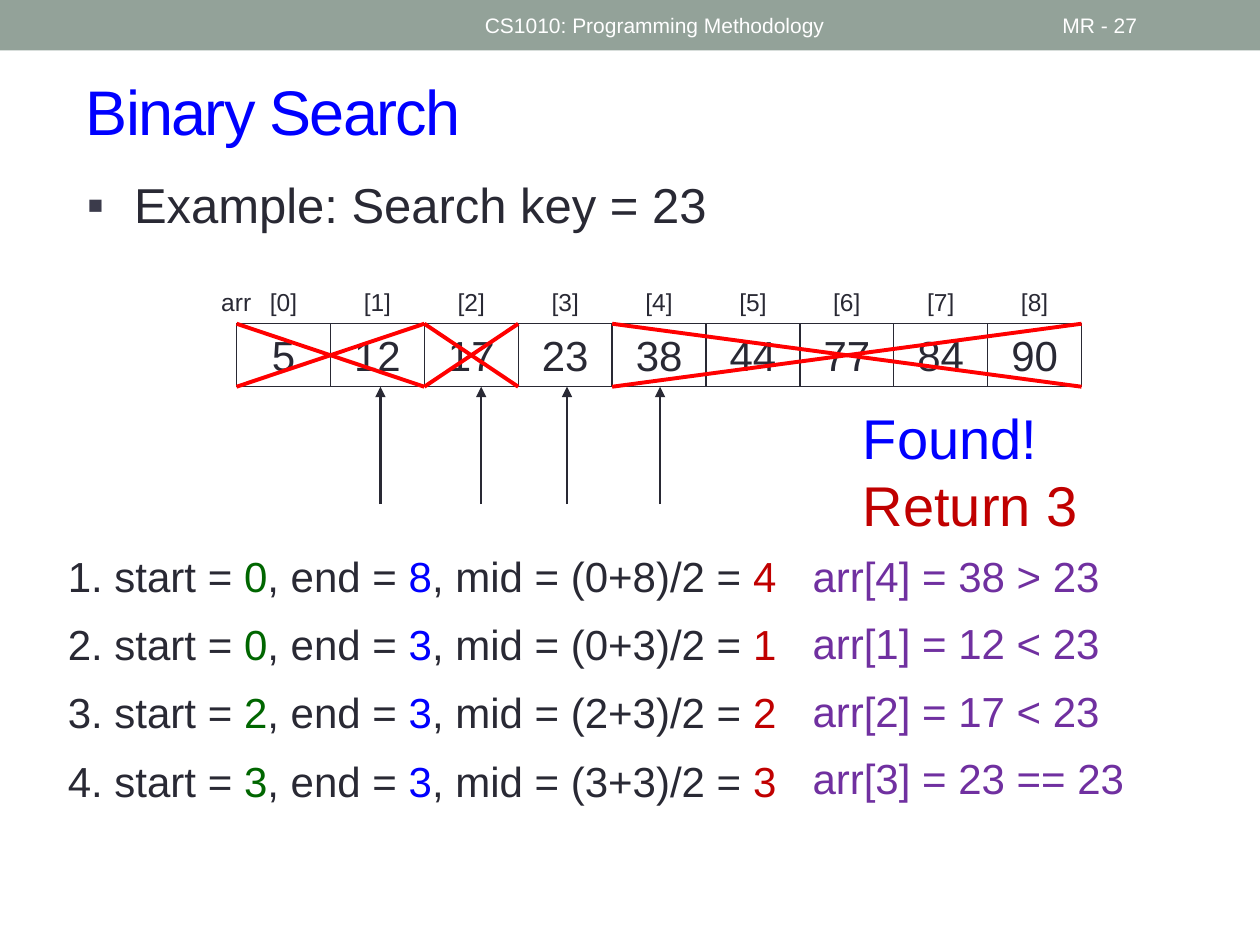
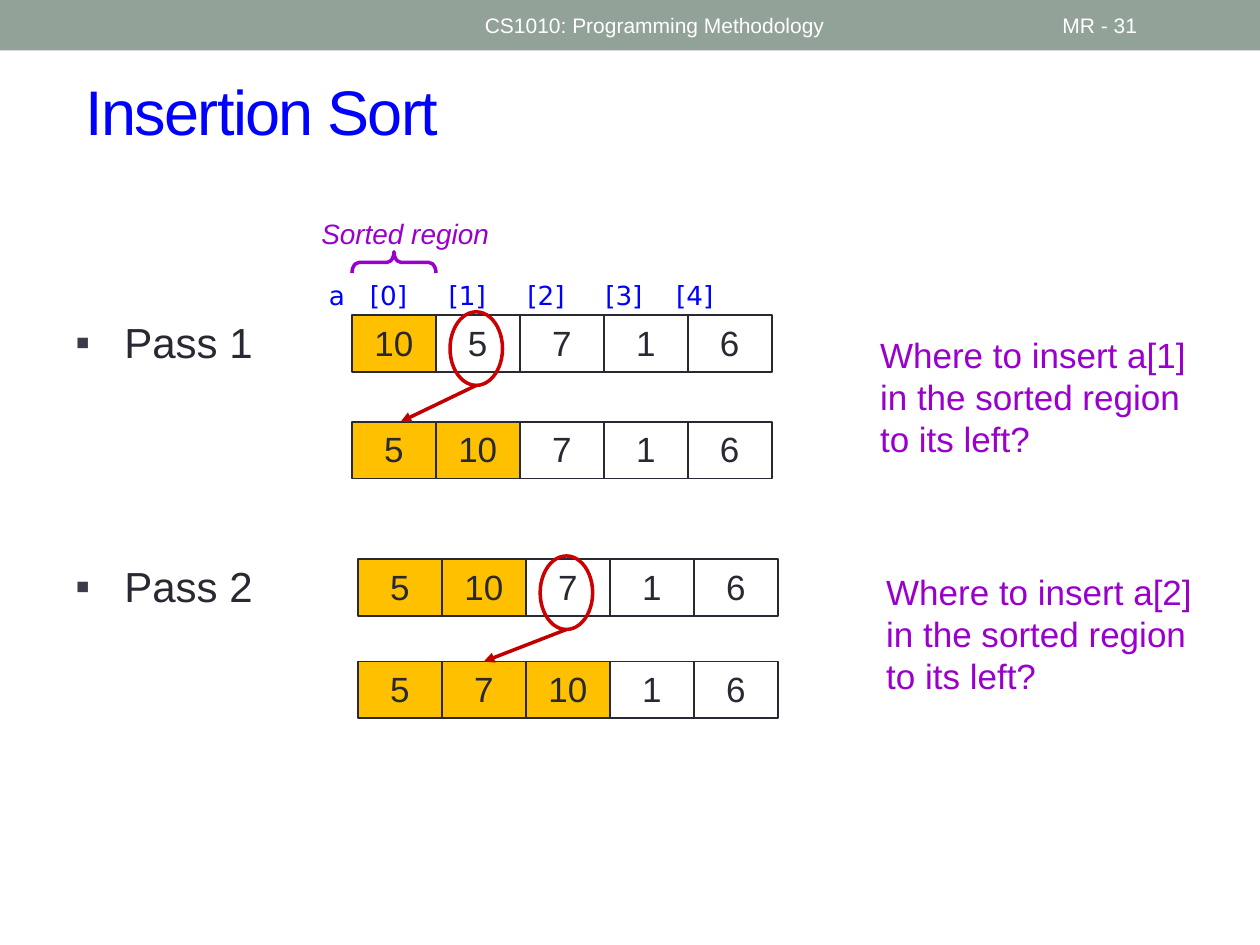
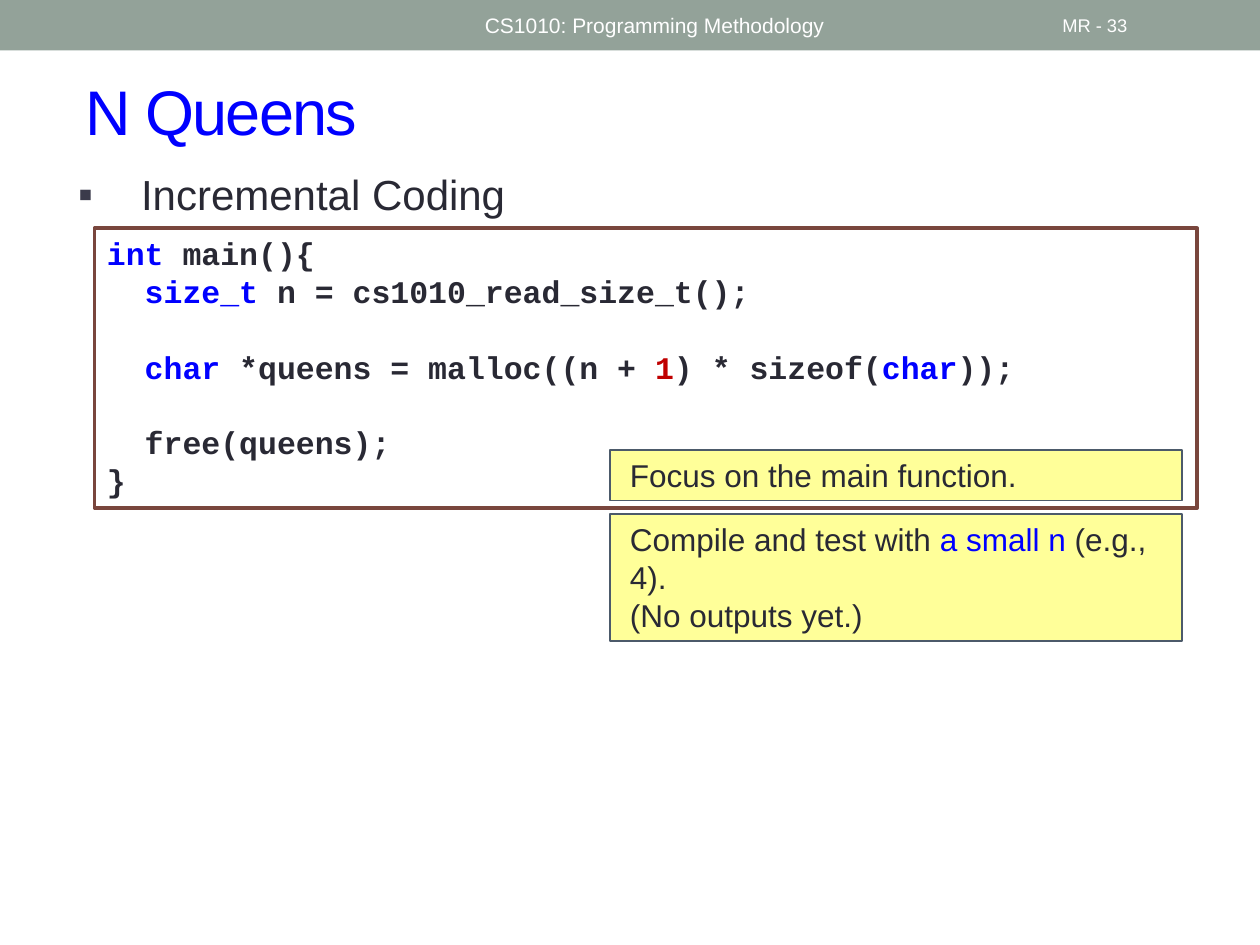
from pptx import Presentation
from pptx.dml.color import RGBColor
from pptx.enum.shapes import MSO_CONNECTOR, MSO_SHAPE
from pptx.enum.text import MSO_ANCHOR, PP_ALIGN
from pptx.oxml.ns import qn
from pptx.oxml.xmlchemy import OxmlElement
from pptx.util import Pt

INK, WHITE, BAND, BULLET = "292934", "FFFFFF", "93A299", "3B3B4B"
BLUE, GREEN, DARK_RED, VIOLET = "0000FF", "006600", "C00000", "7030A0"
CROSS_RED, RING_RED, PURPLE = "FF0000", "CC0000", "9900CC"
GOLD, NOTE_FILL, NOTE_LINE, CODE_LINE = "FFC000", "FFFF99", "4C5A6A", "79463D"


def rgb(color):
    return RGBColor.from_string(color)


# Shared helpers
def add_xml(parent, tag, **attributes):
    element = OxmlElement(tag)
    for name, value in attributes.items():
        element.set(name, value)
    parent.append(element)
    return element


def write(shape, lines, size, color=INK, font="Arial", align=PP_ALIGN.LEFT,
          anchor=MSO_ANCHOR.TOP, bold=False, italic=False):
    """Each line is a string or a list of (text, color) pieces."""
    frame = shape.text_frame
    frame.word_wrap = True
    frame.vertical_anchor = anchor
    for index, line in enumerate(lines):
        paragraph = frame.add_paragraph() if index else frame.paragraphs[0]
        paragraph.alignment = align
        pieces = [(line, color)] if isinstance(line, str) else line
        for text, piece_color in pieces:
            run = paragraph.add_run()
            run.text = text
            run.font.name = font
            run.font.size = Pt(size)
            run.font.bold = bold
            run.font.italic = italic
            run.font.color.rgb = rgb(piece_color)


def add_text(slide, box, lines, size, color=INK, **style):
    shape = slide.shapes.add_textbox(*map(Pt, box))
    write(shape, lines, size, color, **style)
    return shape


def add_box(slide, box, fill=None, line=None, width=1, kind=MSO_SHAPE.RECTANGLE):
    shape = slide.shapes.add_shape(kind, *map(Pt, box))
    shape.shadow.inherit = False
    if fill:
        shape.fill.solid()
        shape.fill.fore_color.rgb = rgb(fill)
    else:
        shape.fill.background()
    if line:
        shape.line.color.rgb = rgb(line)
        shape.line.width = Pt(width)
    else:
        shape.line.fill.background()
    return shape


def add_line(slide, start, end, color, width, arrow=False):
    connector = slide.shapes.add_connector(
        MSO_CONNECTOR.STRAIGHT, *map(Pt, (*start, *end)))
    connector.line.color.rgb = rgb(color)
    connector.line.width = Pt(width)
    properties = connector.element.spPr
    if arrow:
        add_xml(properties.find(qn("a:ln")), "a:tailEnd", type="triangle")
    add_xml(properties, "a:effectLst")


def add_bullet(slide, box, text, size, indent, spacing=None):
    shape = add_text(slide, box, [text], size)
    paragraph = shape.text_frame.paragraphs[0]
    if spacing:
        paragraph.line_spacing = spacing
    properties = paragraph._p.get_or_add_pPr()
    properties.set("marL", str(Pt(indent)))
    properties.set("indent", str(-Pt(indent)))
    add_xml(add_xml(properties, "a:buClr"), "a:srgbClr", val=BULLET)
    add_xml(properties, "a:buFont", typeface="Arial")
    add_xml(properties, "a:buChar", char="▪")


def add_cells(slide, left, top, width, height, values, size, line_width, filled=0):
    for index, value in enumerate(values):
        cell = add_box(slide, (left + index * width, top, width, height),
                       GOLD if index < filled else None, INK, line_width)
        write(cell, [str(value)], size, align=PP_ALIGN.CENTER)


def add_base_slide(presentation, title, number, number_size=12):
    slide = presentation.slides.add_slide(presentation.slide_layouts[6])
    # Header band
    add_box(slide, (0, 0, 720, 28.8), BAND)
    add_text(slide, (270, 1.5, 324, 26), ["CS1010: Programming Methodology"], 12,
             WHITE, anchor=MSO_ANCHOR.MIDDLE)
    add_text(slide, (600, 1.5, 84, 26), [f"MR - {number}"], number_size,
             WHITE, anchor=MSO_ANCHOR.MIDDLE)
    # Title
    heading = add_text(slide, (42, 30, 660, 66), [title], 36, BLUE,
                       anchor=MSO_ANCHOR.MIDDLE)
    run = heading.text_frame.paragraphs[0].runs[0]
    run.font._element.set("spc", "-100")
    return slide


# Binary search
def add_search_array(slide, left, top):
    cell_width, cell_height = 53.65, 36
    values = [5, 12, 17, 23, 38, 44, 77, 84, 90]
    add_cells(slide, left, top, cell_width, cell_height, values, 24, 0.75)

    # Index labels
    add_text(slide, (left - 27.2, top - 24.4, 54, 24.2), ["arr"], 14,
             align=PP_ALIGN.CENTER)
    for index in range(len(values)):
        add_text(slide, (left + index * cell_width, top - 24.4, cell_width, 24.2),
                 [f"[{index}]"], 14, align=PP_ALIGN.CENTER)

    # Discarded ranges
    bottom = top + cell_height
    for first, stop in ((4, 9), (0, 2), (2, 3)):
        start, end = left + first * cell_width, left + stop * cell_width
        add_line(slide, (start, top), (end, bottom), CROSS_RED, 2.25)
        add_line(slide, (start, bottom), (end, top), CROSS_RED, 2.25)

    # Arrows to each middle element
    for offset in (242, 82.2, 139.8, 188.8):
        add_line(slide, (left + offset, bottom + 67), (left + offset, bottom),
                 INK, 1.25, arrow=True)


def add_search_steps(slide, left, top):
    steps = [(0, 8, 4, "38 > 23"), (0, 3, 1, "12 < 23"),
             (2, 3, 2, "17 < 23"), (3, 3, 3, "23 == 23")]
    for index, (start, end, middle, comparison) in enumerate(steps):
        pieces = [(f"{index + 1}. start = ", INK), (str(start), GREEN),
                  (", end = ", INK), (str(end), BLUE),
                  (f", mid = ({start}+{end})/2 = ", INK), (str(middle), DARK_RED)]
        add_text(slide, (left, top + index * 39, 452, 36), [pieces], 24)
        add_text(slide, (left + 425.5, top + index * 38.5, 201, 36),
                 [f"arr[{middle}] = {comparison}"], 24, VIOLET)


def build_binary_search(presentation):
    slide = add_base_slide(presentation, "Binary Search", 27)
    add_bullet(slide, (42.5, 100, 624, 42.5), "Example: Search key = 23", 28, 27, 0.9)
    add_search_array(slide, 135.2, 185)
    add_search_steps(slide, 31.7, 311)
    add_text(slide, (486, 226.8, 157, 85),
             [[("Found!", BLUE)], [("Return 3", DARK_RED)]], 32)


# Insertion sort
def add_sorted_region(slide, left, top):
    add_text(slide, (left - 29.5, top - 59.8, 120, 26.6), ["Sorted region"], 16,
             PURPLE, align=PP_ALIGN.CENTER, italic=True)
    brace = add_box(slide, (left + 18, top - 54, 12.2, 48), None, PURPLE, 2,
                    MSO_SHAPE.LEFT_BRACE)
    brace.rotation = 90
    brace.adjustments[0] = 0.33
    # Index labels on tab stops
    labels = add_text(slide, (left - 20.2, top - 23.8, 264, 25.2),
                      ["a\t[0]\t[1]\t[2]\t[3]\t[4]"], 15, BLUE, font="DejaVu Sans")
    properties = labels.text_frame.paragraphs[0]._p.get_or_add_pPr()
    tabs = add_xml(properties, "a:tabLst")
    for position in (23.5, 68.5, 113.5, 158, 198.5):
        add_xml(tabs, "a:tab", pos=str(Pt(position)), algn="l")


def add_pass(slide, left, top, number, before, after, row_step, arrow_x,
             question_top):
    cell_width, cell_height = 48, 32.4
    add_bullet(slide, (36, top - 2.6, 150, 36), f"Pass {number}", 24, 28)
    add_cells(slide, left, top, cell_width, cell_height, before, 20, 1, number)
    add_cells(slide, left, top + row_step, cell_width, cell_height, after, 20, 1,
              number + 1)
    # Element to insert and its new place
    ring_left, ring_top = left + number * cell_width + 8.2, top - 1.8
    add_box(slide, (ring_left, ring_top, 30, 42), None, RING_RED, 2, MSO_SHAPE.OVAL)
    add_line(slide, (ring_left + 15, ring_top + 42), (left + arrow_x, top + row_step),
             DARK_RED, 2, arrow=True)
    add_text(slide, (left + 294.8, top + question_top, 192, 79),
             [f"Where to insert a[{number}] in the sorted region to its left?"],
             20, PURPLE)


def build_insertion_sort(presentation):
    slide = add_base_slide(presentation, "Insertion Sort", 31)
    add_sorted_region(slide, 201, 180)
    add_pass(slide, 201, 180, 1, [10, 5, 7, 1, 6], [5, 10, 7, 1, 6],
             row_step=61, arrow_x=28, question_top=7.2)
    add_pass(slide, 204.5, 319.5, 2, [5, 10, 7, 1, 6], [5, 7, 10, 1, 6],
             row_step=58.5, arrow_x=72, question_top=3)


# N queens
def add_code(slide, box):
    panel = add_box(slide, box, WHITE, CODE_LINE, 2.08)
    lines = [
        [("int", BLUE), (" main(){", INK)],
        [("  ", INK), ("size_t", BLUE), (" n = cs1010_read_size_t();", INK)],
        [("  ", INK), ("char", BLUE), (" *queens = malloc((n + ", INK),
         ("1", DARK_RED), (") * sizeof(", INK), ("char", BLUE), ("));", INK)],
        "  free(queens);",
        "}",
    ]
    write(panel, lines, 18, font="Courier New", bold=True)
    for index in (2, 3):
        panel.text_frame.paragraphs[index].space_before = Pt(21.6)


def add_note(slide, box, lines):
    note = add_box(slide, box, NOTE_FILL, NOTE_LINE, 1)
    write(note, lines, 18)
    note.text_frame.margin_left = Pt(11.5)


def build_queens(presentation):
    slide = add_base_slide(presentation, "N Queens", 33, number_size=10.5)
    add_bullet(slide, (37.5, 93, 625, 36), "Incremental Coding", 24, 36)
    add_code(slide, (54, 130.4, 630, 160))
    add_note(slide, (348.5, 257, 327, 29), ["Focus on the main function."])
    add_note(slide, (348.5, 293.8, 327, 72.5),
             [[("Compile and test with ", INK), ("a small n", BLUE),
               (" (e.g., 4).", INK)], "(No outputs yet.)"])


def main():
    presentation = Presentation()
    presentation.slide_width, presentation.slide_height = Pt(720), Pt(540)
    build_binary_search(presentation)
    build_insertion_sort(presentation)
    build_queens(presentation)
    presentation.save("out.pptx")


if __name__ == "__main__":
    main()
